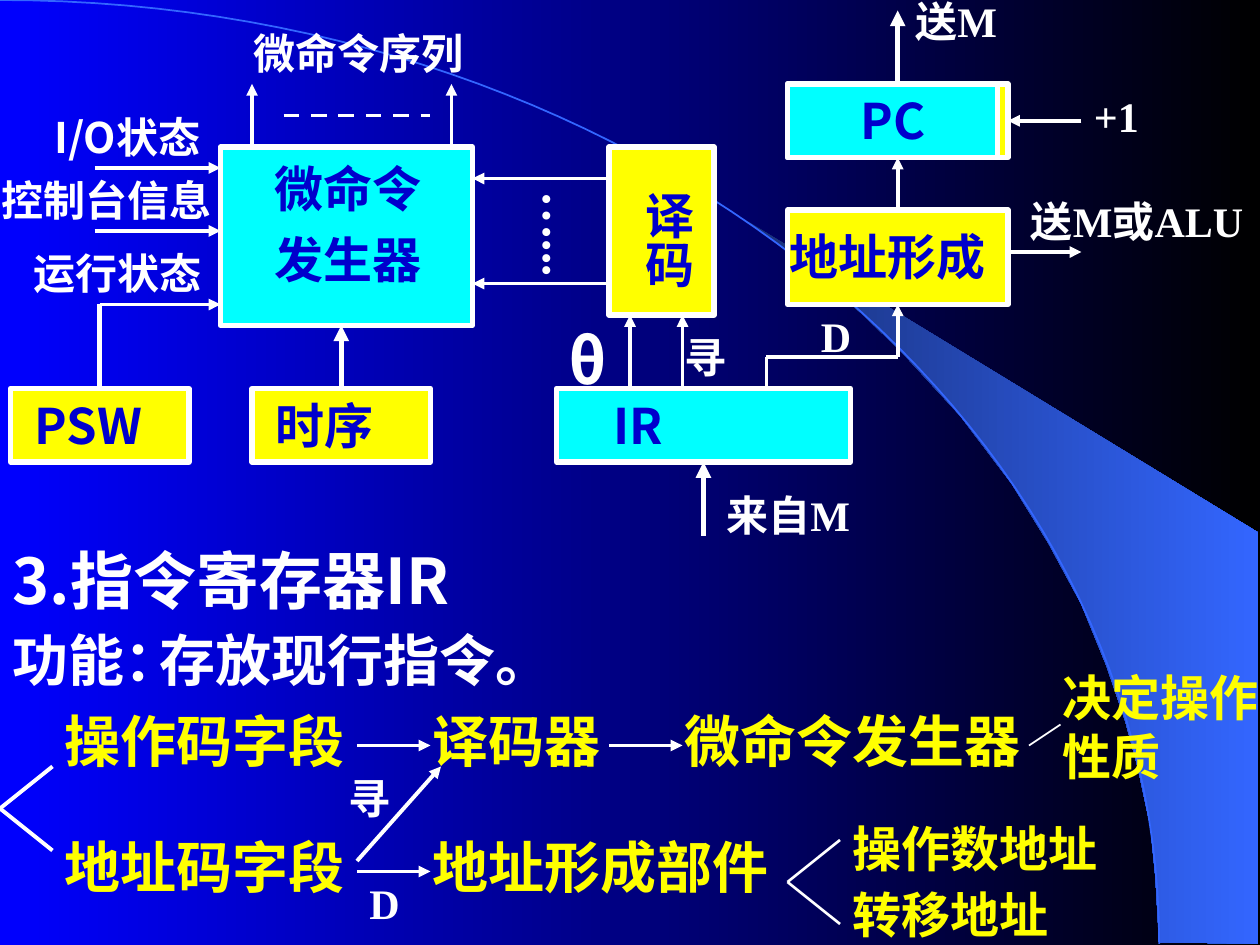
from lxml.etree import SubElement
from pptx import Presentation
from pptx.dml.color import RGBColor
from pptx.enum.dml import MSO_LINE
from pptx.enum.shapes import MSO_CONNECTOR, MSO_SHAPE
from pptx.enum.text import MSO_ANCHOR as Anchor, MSO_AUTO_SIZE as AutoSize
from pptx.oxml.ns import qn
from pptx.util import Inches, Pt

COLORS = {"white": "FFFFFF", "yellow": "FFFF00", "cyan": "00FFFF", "ink": "0000CC",
          "blue": "0000FF", "black": "000000", "navy": "182F76", "sky": "3366FF"}
SANS, SERIF = "Noto Sans CJK SC", "Times New Roman"
COLUMNS = 120
SWOOSH = [(9.2, 7.48), (9.99, 7.49), (9.99, 4.23), (5.89, 1.73), (6.24, 1.99), (6.53, 2.22),
          (6.85, 2.5), (7.16, 2.8), (7.62, 3.3), (8.03, 3.84), (8.32, 4.31), (8.58, 4.79),
          (8.78, 5.28), (8.93, 5.72), (9.03, 6.09), (9.13, 6.56), (9.17, 6.96)]
ARC = [(0, 0), (5.08, 0), (9.2, 3.35), (9.2, 7.49)]


def color(name):
    return RGBColor.from_string(COLORS[name])


def bezier(controls, steps=60):
    for step in range(steps + 1):
        t = step / steps
        weights = ((1 - t) ** 3, 3 * t * (1 - t) ** 2, 3 * t * t * (1 - t), t ** 3)
        yield tuple(sum(w * point[axis] for w, point in zip(weights, controls)) for axis in (0, 1))


class Sketch:
    def __init__(self, deck):
        self.page = deck.slides.add_slide(deck.slide_layouts[1])
        self.cell = deck.slide_width / COLUMNS
        self.sites = {}

    def grid(self, *lengths):
        return [round(length * self.cell) for length in lengths]

    def gradient(self, fill, *names):
        fill.gradient()
        fill.gradient_angle = 0
        for stop, name in zip(fill.gradient_stops, names):
            stop.color.rgb = color(name)

    def outline(self, points, close):
        start, *others = [(Inches(x), Inches(y)) for x, y in points]
        builder = self.page.shapes.build_freeform(*start, scale=1.0)
        builder.add_line_segments(others, close=close)
        shape = builder.convert_to_shape()
        shape.shadow.inherit = False
        return shape

    def backdrop(self):
        self.gradient(self.page.background.fill, "blue", "black")
        swoosh = self.outline(SWOOSH, True)
        self.gradient(swoosh.fill, "navy", "sky")
        swoosh.line.fill.background()
        arc = self.outline(bezier(ARC), False)
        arc.fill.background()
        arc.line.color.rgb = color("sky")
        arc.line.width = Pt(1)

    def fill_text(self, box, lines, size, ink, face=SERIF, spacing=None, **frame_format):
        frame = box.text_frame
        settings = dict(word_wrap=True, auto_size=AutoSize.SHAPE_TO_FIT_TEXT,
                        vertical_anchor=Anchor.TOP, margin_left=Inches(0.1),
                        margin_right=Inches(0.1), margin_top=Inches(0.05),
                        margin_bottom=Inches(0.05))
        for key, value in {**settings, **frame_format}.items():
            setattr(frame, key, value)
        for index, line in enumerate(lines.split("\n")):
            para = frame.add_paragraph() if index else frame.paragraphs[0]
            properties = para._p.get_or_add_pPr()
            for key, value in dict(marL="0", indent="0", algn="l").items():
                properties.set(key, value)
            SubElement(properties, qn("a:buNone"))
            para.line_spacing = spacing
            para.space_before = Pt(size * 0.625 if index else 0)
            span = para.add_run()
            span.text = line
            for key, value in dict(size=Pt(size), bold=True, name=face).items():
                setattr(span.font, key, value)
            span.font.color.rgb = color(ink)
            SubElement(span._r.get_or_add_rPr(), qn("a:ea")).set("typeface", SANS)

    def text(self, x, y, w, h, lines, size=24, ink="white", **style):
        box = self.page.shapes.add_textbox(*self.grid(x, y, w, h))
        self.fill_text(box, lines, size, ink, **style)
        return box

    def vertical(self, x, lines, ink):
        box = self.text(x, 17, 8, 13, lines, 28, ink, margin_left=Inches(0.05),
                        margin_right=Inches(0.05), margin_top=Inches(0.1),
                        margin_bottom=Inches(0.1))
        box.text_frame._txBody.bodyPr.set("vert", "eaVert")

    def placeholder(self, index, x, y, w, h, lines, size, ink, **style):
        box = self.page.placeholders[index]
        box.left, box.top, box.width, box.height = self.grid(x, y, w, h)
        self.fill_text(box, lines, size, ink, **style)

    def block(self, x, y, w, h, fill, label=None, indent=0.19):
        box = self.page.shapes.add_shape(MSO_SHAPE.RECTANGLE, *self.grid(x, y, w, h))
        box.shadow.inherit = False
        box.fill.solid()
        box.fill.fore_color.rgb = color(fill)
        box.line.color.rgb = color("white")
        box.line.width = Pt(3)
        middles = [(x + w / 2, y), (x, y + h / 2), (x + w / 2, y + h), (x + w, y + h / 2)]
        for site, point in enumerate(middles):
            self.sites.setdefault(point, (box, site))
        if label:
            self.fill_text(box, label, 28, "ink", SANS, auto_size=AutoSize.NONE,
                           vertical_anchor=Anchor.MIDDLE, margin_left=Inches(indent))

    def line(self, start, end, width=2.25, arrow=False, dash=None):
        link = self.page.shapes.add_connector(MSO_CONNECTOR.STRAIGHT, *self.grid(*start, *end))
        for point, join in ((start, link.begin_connect), (end, link.end_connect)):
            if point in self.sites:
                join(*self.sites[point])
        link.line.color.rgb = color("white")
        link.line.width = Pt(width)
        if dash:
            link.line.dash_style = dash
        if arrow:
            SubElement(link.line._get_or_add_ln(), qn("a:tailEnd")).set("type", "triangle")
        SubElement(link._element.spPr, qn("a:effectLst"))

    def arrow(self, start, end, width=2.25):
        self.line(start, end, width, arrow=True)

    def fork(self, tip, right, top, bottom, width):
        for y in (top, bottom):
            self.line(tip, (right, y), width)


def draw_blocks(sketch):
    for block in [(75, 8, 21, 7, "yellow"), (75, 8, 20, 7, "cyan"),
                  (75, 20, 21, 9, "yellow"), (58, 14, 10, 16, "yellow"),
                  (21, 14, 24, 17, "cyan"), (1, 37, 17, 7, "yellow", "PSW"),
                  (24, 37, 17, 7, "yellow", "时序"), (53, 37, 28, 7, "cyan", "IR", 0.45)]:
        sketch.block(*block)
    sketch.text(80.8, 8, 14.2, 6.8, "PC", 28, "ink", face=SANS)
    sketch.text(74, 21, 27, 6.8, "地址形成", 28, "ink")
    sketch.text(25, 16, 17, 12, "微命令\n发生器", 28, "ink", spacing=0.7)
    sketch.vertical(59, "译码", "ink")
    sketch.vertical(49, "…...", "white")


def draw_signals(sketch):
    sketch.line((27, 11), (41, 11), dash=MSO_LINE.DASH)
    for x in (24, 43):
        sketch.arrow((x, 14), (x, 8))
    for y in (16, 22, 29):
        sketch.arrow((9.5 if y == 29 else 9, y), (21, y))
    sketch.line((9.5, 29), (9.5, 37), 3)
    for y in (17, 27):
        sketch.arrow((58, y), (45, y))
    for x in (60, 65):
        sketch.arrow((x, 37), (x, 30))
    sketch.line((73, 37), (73, 34))
    sketch.line((73, 34), (85.5, 34))
    sketch.arrow((85.5, 34), (85.5, 29))
    sketch.arrow((85.5, 20), (85.5, 15))
    sketch.arrow((85.5, 8), (85.5, 1), 3)
    sketch.arrow((103, 11.5), (96, 11.5))
    sketch.arrow((96, 24), (103, 24))
    sketch.arrow((67, 51), (67, 44), 3)
    sketch.arrow((32.5, 37), (32.5, 31), 3)
    for label in [(23, 2, 23, 6, "微命令序列"), (-1, 16, 23, 6, "控制台信息"),
                  (2, 23, 23, 6, "运行状态"), (77, 29, 13, 6, "D"), (64, 31, 13, 6, "寻"),
                  (68, 46, 23, 6, "来自M"), (97, 18, 23, 10.8, "送M或ALU"),
                  (103, 8, 13, 6, "+1"), (86, -1, 13, 6, "送M")]:
        sketch.text(*label)
    sketch.text(4, 10, 19, 6, "I/O状态", face=SANS)
    sketch.text(53, 30, 15, 8.4, "θ", 36, face=SANS)


def draw_fields(sketch):
    sketch.placeholder(0, 0, 51, 55, 8.4, "3.指令寄存器IR", 36, "white", face=SANS)
    sketch.placeholder(1, 80, 79.3, 35, 10.9, "操作数地址\n转移地址", 28, "yellow", spacing=0.6)
    sketch.text(0, 59, 20, 7.7, "功能：", 32)
    sketch.text(14, 59, 44, 7.7, "存放现行指令。", 32)
    for x, y, w, label in [(5, 69, 32, "操作码字段"), (40, 69, 22, "译码器"),
                           (64, 69, 39, "微命令发生器"), (5, 81, 32, "地址码字段"),
                           (40, 81, 44, "地址形成部件")]:
        sketch.text(x, y, w, 5, label, 32, "yellow", spacing=0.6)
    sketch.text(100, 63, 23, 12.5, "决定操作性质", 28, "yellow", face=SANS)
    sketch.text(32, 73, 10, 6, "寻")
    sketch.text(34, 83, 10, 6, "D")
    for start, end in [((34, 71), (41, 71)), ((58, 71), (65, 71)),
                       ((34, 83), (41, 83)), ((34, 82), (42, 73))]:
        sketch.arrow(start, end)
    sketch.fork((0, 77), 5, 73, 81, 2.25)
    sketch.fork((75, 84), 80, 80, 88, 1.5)
    sketch.line((98, 71), (101, 69), 1)


def main():
    deck = Presentation()
    deck.slide_width, deck.slide_height = Inches(10), Inches(7.5)
    sketch = Sketch(deck)
    sketch.backdrop()
    draw_blocks(sketch)
    draw_signals(sketch)
    draw_fields(sketch)
    deck.save("out.pptx")


if __name__ == "__main__":
    main()
